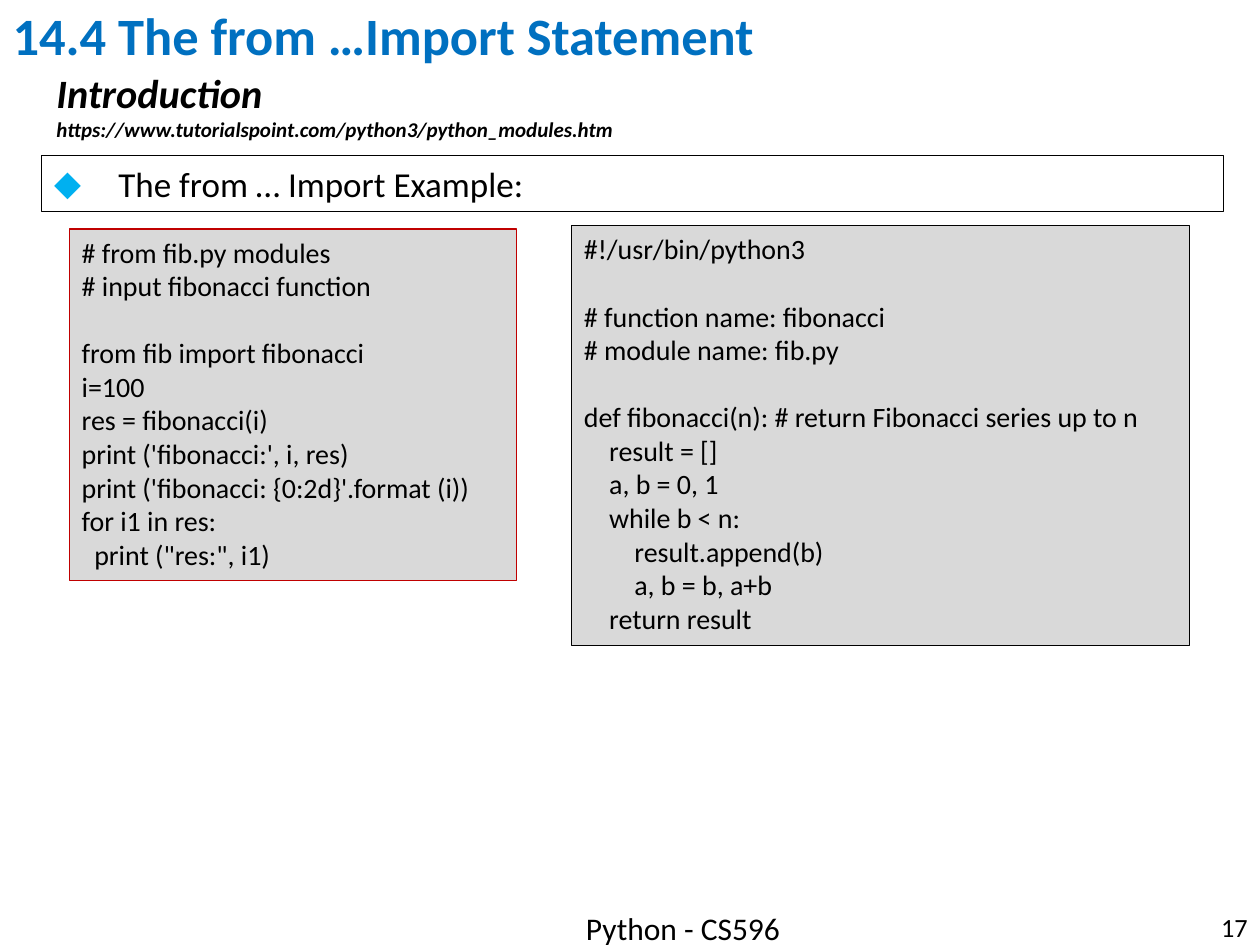
from lxml import etree
from pptx import Presentation
from pptx.dml.color import RGBColor
from pptx.enum.shapes import MSO_SHAPE
from pptx.enum.text import MSO_ANCHOR, MSO_AUTO_SIZE, PP_ALIGN
from pptx.oxml.ns import qn
from pptx.util import Pt

RECTANGLE = MSO_SHAPE.RECTANGLE
TOP, MIDDLE = MSO_ANCHOR.TOP, MSO_ANCHOR.MIDDLE
NO_AUTOFIT = MSO_AUTO_SIZE.NONE
LEFT, CENTER, RIGHT = PP_ALIGN.LEFT, PP_ALIGN.CENTER, PP_ALIGN.RIGHT

BLACK = RGBColor(0x00, 0x00, 0x00)
TITLE_BLUE = RGBColor(0x00, 0x70, 0xC0)
BULLET_BLUE = RGBColor(0x00, 0xB0, 0xF0)
RED = RGBColor(0xC0, 0x00, 0x00)
CODE_GRAY = RGBColor(0xD9, 0xD9, 0xD9)

FONT = "Calibri"
BULLET_INDENT = Pt(36.72)

IMPORT_CODE = """# from fib.py modules
# input fibonacci function

from fib import fibonacci
i=100
res = fibonacci(i)
print ('fibonacci:', i, res)
print ('fibonacci: {0:2d}'.format (i))
for i1 in res:
  print ("res:", i1)"""

MODULE_CODE = """#!/usr/bin/python3

# function name: fibonacci
# module name: fib.py

def fibonacci(n): # return Fibonacci series up to n
    result = []
    a, b = 0, 1
    while b < n:
        result.append(b)
        a, b = b, a+b
    return result"""


def place(shape, left, top, width, height):
    shape.left, shape.top = Pt(left), Pt(top)
    shape.width, shape.height = Pt(width), Pt(height)


def format_paragraph(paragraph, size, color=BLACK, alignment=LEFT,
                     bold=False, italic=False):
    paragraph.alignment = alignment
    font = paragraph.font
    font.name, font.size = FONT, Pt(size)
    font.bold, font.italic = bold, italic
    font.color.rgb = color


def prepare_frame(shape, anchor=TOP):
    frame = shape.text_frame
    frame.word_wrap = True
    frame.auto_size = NO_AUTOFIT
    frame.vertical_anchor = anchor
    return frame


def outline(shape, color):
    shape.line.color.rgb = color
    shape.line.width = Pt(0.75)


def add_diamond_bullet(paragraph):
    properties = paragraph._p.get_or_add_pPr()
    properties.set("marL", str(BULLET_INDENT))
    properties.set("indent", str(-BULLET_INDENT))
    color = etree.SubElement(properties, qn("a:buClr"))
    etree.SubElement(color, qn("a:srgbClr"), val=str(BULLET_BLUE))
    etree.SubElement(properties, qn("a:buFont"), typeface=FONT)
    etree.SubElement(properties, qn("a:buChar"), char="◆")


def set_title(slide, text):
    title = slide.shapes.title
    place(title, 0, -2, 720, 47.5)
    frame = prepare_frame(title, MIDDLE)
    frame.text = text
    paragraph = frame.paragraphs[0]
    paragraph.line_spacing = 0.9
    format_paragraph(paragraph, 30, TITLE_BLUE, bold=True)


def set_bullet_list(slide, text):
    body = slide.placeholders[1]
    place(body, 23.76, 89, 675.36, 32)
    outline(body, BLACK)
    frame = prepare_frame(body)
    frame.text = text
    paragraph = frame.paragraphs[0]
    paragraph.space_before = Pt(0)
    add_diamond_bullet(paragraph)
    format_paragraph(paragraph, 20)


def add_label(slide, box, lines, anchor=TOP, **style):
    """Add a text box; lines holds a (text, size) pair for each paragraph."""
    label = slide.shapes.add_textbox(*map(Pt, box))
    frame = prepare_frame(label, anchor)
    frame.text = "\n".join(text for text, size in lines)
    for paragraph, (text, size) in zip(frame.paragraphs, lines):
        format_paragraph(paragraph, size, **style)


def add_code_box(slide, box, code, line_color):
    shape = slide.shapes.add_shape(RECTANGLE, *map(Pt, box))
    shape.shadow.inherit = False
    shape.fill.solid()
    shape.fill.fore_color.rgb = CODE_GRAY
    outline(shape, line_color)
    frame = prepare_frame(shape)
    frame.text = code
    for paragraph in frame.paragraphs:
        format_paragraph(paragraph, 16)


def main():
    presentation = Presentation()
    presentation.slide_width, presentation.slide_height = Pt(720), Pt(540)
    slide = presentation.slides.add_slide(presentation.slide_layouts[1])

    set_title(slide, "14.4 The from …Import Statement")
    add_label(slide, (25.2, 35.5, 458.64, 49.7), [
        ("Introduction", 23),
        ("https://www.tutorialspoint.com/python3/python_modules.htm", 12),
    ], bold=True, italic=True)
    set_bullet_list(slide, "The from … Import Example:")
    add_code_box(slide, (39.6, 130.8, 255.6, 200.9), IMPORT_CODE, RED)
    add_code_box(slide, (326.6, 129, 353, 239.8), MODULE_CODE, BLACK)
    add_label(slide, (221.8, 516.2, 337, 28.8), [("Python - CS596", 18)],
              alignment=CENTER)
    add_label(slide, (558, 515.5, 162, 28.8), [("17", 15)], MIDDLE,
              alignment=RIGHT)

    presentation.save("out.pptx")


if __name__ == "__main__":
    main()
